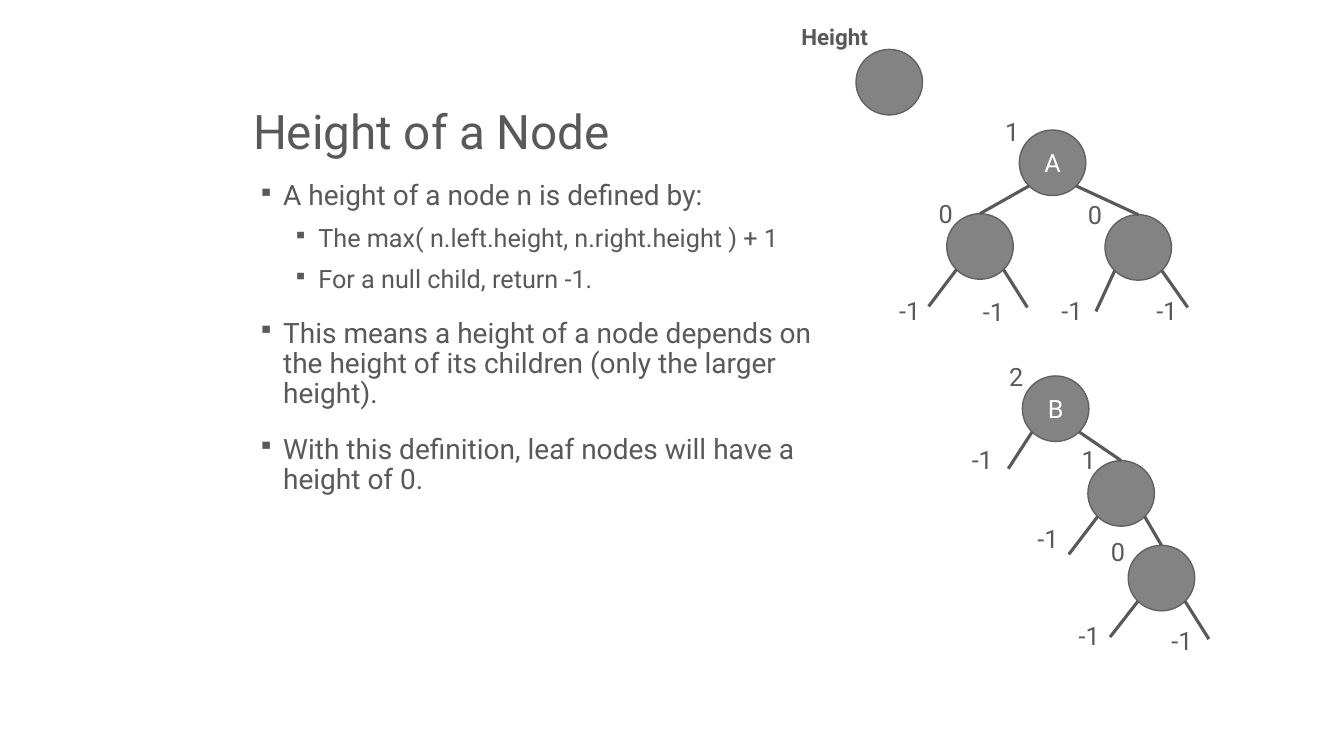
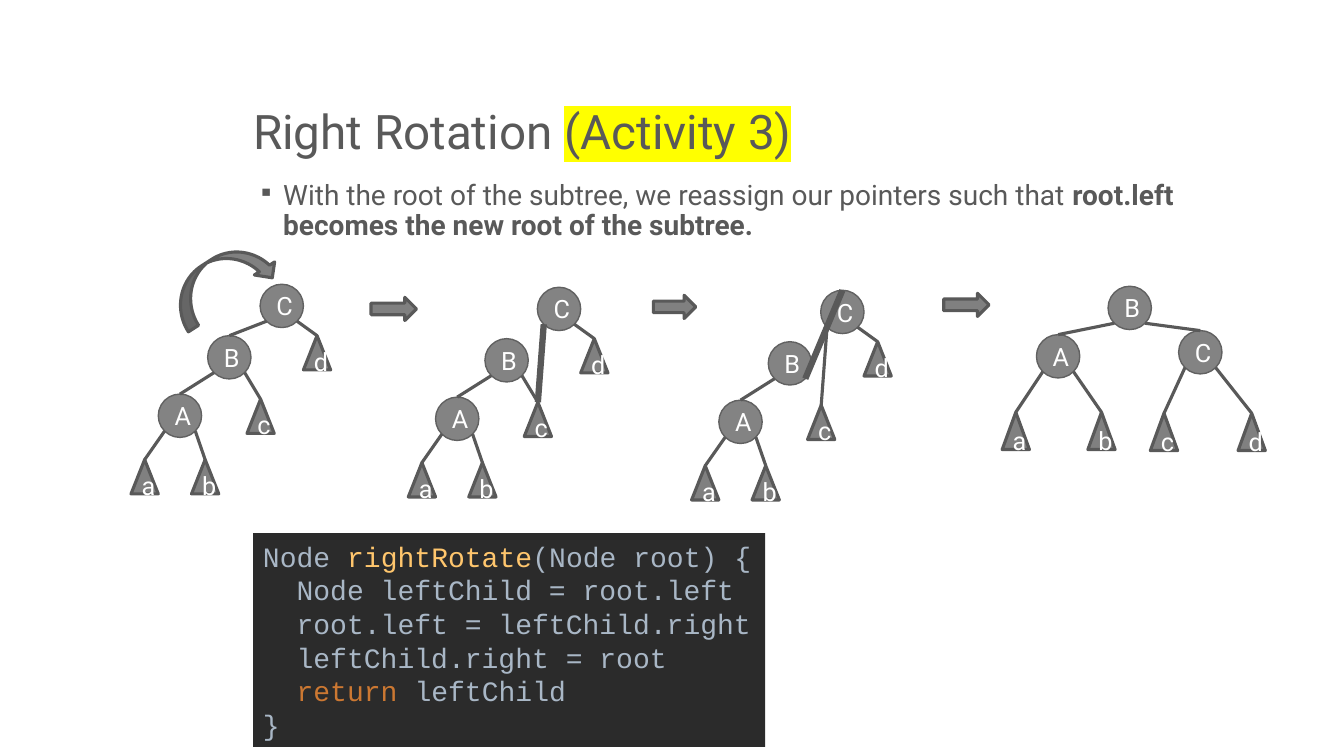
from lxml import etree
from pptx import Presentation
from pptx.dml.color import RGBColor
from pptx.enum.shapes import MSO_CONNECTOR, MSO_SHAPE as SHAPE
from pptx.enum.text import MSO_ANCHOR as ANCHOR, MSO_AUTO_SIZE as FIT, PP_ALIGN as ALIGN
from pptx.oxml.ns import qn
from pptx.util import Emu, Pt

EMU_PER_PX = 9144  # 100 px to the inch
LEFT, RIGHT = -1, 1
DIAGONAL = 0.5 ** 0.5 / 2


def px(n):
    return Emu(n * EMU_PER_PX)


def rgb(hex_code):
    return RGBColor.from_string(hex_code)


def sub(parent, tag, **attrs):
    return etree.SubElement(parent, qn(tag), attrs)


def add_run(p, text, size=18, color="595959", font="Roboto", bold=False, highlight=None):
    r = p.add_run()
    r.text = text
    r.font.size, r.font.name, r.font.bold = Pt(size), font, bold
    r.font.color.rgb = rgb(color)
    if highlight:
        mark = etree.Element(qn("a:highlight"))
        sub(mark, "a:srgbClr", val=highlight)
        r._r.get_or_add_rPr().find(qn("a:solidFill")).addnext(mark)


class Deck:
    INK, WHITE = "595959", "FFFFFF"
    NODE_FILL, NODE_LINE, BLOCK_FILL = "838383", "616161", "808080"
    MARGIN = 241

    def __init__(self):
        self.prs = Presentation()
        self.prs.slide_width, self.prs.slide_height = px(1333), px(750)

    def new_slide(self, *title_runs):
        """Start a slide; each title run is (text, format)."""
        self.s = self.prs.slides.add_slide(self.prs.slide_layouts[5])
        title = self.s.shapes.title
        title.left, title.top = px(self.MARGIN), px(33)
        title.width, title.height = px(1025), px(131)
        tf = title.text_frame
        tf.vertical_anchor, tf.auto_size = ANCHOR.BOTTOM, FIT.NONE
        p = tf.paragraphs[0]
        p.alignment, p.line_spacing = ALIGN.LEFT, 0.9
        for text, fmt in title_runs:
            add_run(p, text, size=34, **fmt)

    def text_box(self, x, y, w, h, wrap=True):
        tf = self.s.shapes.add_textbox(px(x), px(y), px(w), px(h)).text_frame
        tf.word_wrap = wrap
        tf.auto_size = FIT.NONE if wrap else FIT.SHAPE_TO_FIT_TEXT
        return tf

    def bullets(self, width, items):
        """Write the body; each item is (level, [(text, format), ...])."""
        tf = self.text_box(self.MARGIN, 175, width, 450)
        for i, (level, runs) in enumerate(items):
            p = tf.add_paragraph() if i else tf.paragraphs[0]
            pPr = p._p.get_or_add_pPr()
            pPr.set("marL", str(px(65 if level else 30)))
            pPr.set("indent", str(px(-25)))
            sub(pPr, "a:buSzPct", val="80000")
            sub(pPr, "a:buChar", char="▪")
            p.level, p.line_spacing = level, 0.9
            if i:
                p.space_before = Pt(10 if level else 18)
            for text, fmt in runs:
                add_run(p, text, size=18 if level else 20, **fmt)

    def label(self, text, x, y, w=35, h=40, **fmt):
        tf = self.text_box(x, y, w, h, wrap=False)
        add_run(tf.paragraphs[0], text, **fmt)

    def shape(self, kind, x, y, w, h, text="", fill=BLOCK_FILL, line=INK, weight=2.25):
        sp = self.s.shapes.add_shape(kind, px(x), px(y), px(w), px(h))
        sp.shadow.inherit = False
        sp.fill.solid()
        sp.fill.fore_color.rgb = rgb(fill)
        if line:
            sp.line.color.rgb = rgb(line)
            sp.line.width = Pt(weight)
        else:
            sp.line.fill.background()
        tf = sp.text_frame
        tf.vertical_anchor = ANCHOR.MIDDLE
        if text:
            p = tf.paragraphs[0]
            p.alignment = ALIGN.CENTER
            add_run(p, text, color=self.WHITE)
        return sp

    def node(self, x, y, text="", w=66, h=65):
        return self.shape(SHAPE.OVAL, x, y, w, h, text, self.NODE_FILL, self.NODE_LINE, 1)

    def edge(self, parent, side, end, weight=2.25):
        """Line from a node's lower left or right to a point or the top of a shape."""
        x = parent.left + parent.width * (0.5 + side * DIAGONAL)
        y = parent.top + parent.height * (0.5 + DIAGONAL)
        to_point = isinstance(end, tuple)
        end_x, end_y = map(px, end) if to_point else (end.left, end.top)
        c = self.s.shapes.add_connector(
            MSO_CONNECTOR.STRAIGHT, Emu(int(x)), Emu(int(y)), end_x, end_y)
        if not to_point:
            c.end_connect(end, 0)
        c.line.color.rgb = rgb(self.INK)
        c.line.width = Pt(weight)
        sub(c._element.spPr, "a:effectLst")

    def tree(self, places, edges, heavy="", dx=0, dy=0, leaf_h=34):
        """Draw capitals as nodes and small letters as subtrees.

        An edge such as "C<B" leaves C at its lower left, "C>d" at its lower right.
        """
        parts = {}
        for name, (x, y) in places.items():
            if name.isupper():
                parts[name] = self.node(x + dx, y + dy, name, 43, 43)
            else:
                parts[name] = self.shape(
                    SHAPE.ISOSCELES_TRIANGLE, x + dx, y + dy, 27, leaf_h, name)
        for edge in edges.split():
            parent, side, child = edge
            self.edge(parts[parent], LEFT if side == "<" else RIGHT, parts[child],
                      4.5 if edge == heavy else 2.25)

    def code(self, x, y, w, h, lines):
        tf = self.shape(SHAPE.RECTANGLE, x, y, w, h, fill="2B2B2B", line=None).text_frame
        tf.word_wrap, tf.auto_size = False, FIT.SHAPE_TO_FIT_TEXT
        for i, runs in enumerate(lines):
            p = tf.add_paragraph() if i else tf.paragraphs[0]
            p.alignment = ALIGN.LEFT
            for text, color in runs:
                add_run(p, text, size=20, color=color, font="Courier New")


def height_slide(deck):
    deck.new_slide(("Height of a Node", {}))
    deck.bullets(589, [(level, [(text, {})]) for level, text in [
        (0, "A height of a node n is defined by:"),
        (1, "The max( n.left.height, n.right.height ) + 1"),
        (1, "For a null child, return -1."),
        (0, "This means a height of a node depends on the height of its children "
            "(only the larger height)."),
        (0, "With this definition, leaf nodes will have a height of 0."),
    ]])

    deck.node(849, 49)
    deck.label("Height", 785, 18, 86, 37, size=16, bold=True)

    a, a_left, a_right = deck.node(1011, 129, "A"), deck.node(939, 212), deck.node(1096, 213)
    b, b_child, b_leaf = deck.node(1014, 373, "B"), deck.node(1079, 457), deck.node(1119, 541)
    for parent, left, right in [
        (a, a_left, a_right),
        (a_left, (921, 304), (1019, 305)),
        (a_right, (1087, 309), (1178, 305)),
        (b, (1000, 465), b_child),
        (b_child, (1060, 550), b_leaf),
        (b_leaf, (1101, 632), (1199, 634)),
    ]:
        deck.edge(parent, LEFT, left)
        deck.edge(parent, RIGHT, right)

    for height, x, y in [("1", 987, 111), ("0", 921, 192), ("0", 1069, 193),
                         ("2", 991, 354), ("1", 1063, 436), ("0", 1092, 527)]:
        deck.label(height, x, y)
    for x, y in [(882, 288), (965, 289), (1043, 288), (1137, 288),
                 (954, 436), (1019, 514), (1060, 610), (1152, 615)]:
        deck.label("-1", x, y, 44)


def rotation_slide(deck):
    deck.new_slide(("Right Rotation ", {}), ("(Activity 3)", {"highlight": "FFFF00"}))
    deck.bullets(1025, [(0, [
        ("With the root of the subtree, we reassign our pointers such that ", {}),
        ("root.left becomes the new root of the subtree.", {"bold": True}),
    ])])

    before = {"A": (157, 391), "B": (206, 333), "C": (258, 282), "a": (130, 456),
              "b": (190, 456), "c": (245, 396), "d": (301, 333)}
    after = {"A": (1028, 332), "B": (1099, 284), "C": (1169, 328), "a": (994, 409),
             "b": (1079, 409), "c": (1141, 410), "d": (1228, 410)}
    kept = "A<a A>b B<A C>d "
    deck.tree(before, kept + "C<B B>c")
    deck.tree(before, kept + "B>c C<c", heavy="C<c", dx=275, dy=3)
    deck.tree(before, kept + "C<c B>C", heavy="B>C", dx=556, dy=6)
    deck.tree(after, "A<a A>b B<A B>C C<c C>d", leaf_h=37)

    for x, y, w in [(368, 295, 45), (648, 293, 42), (936, 291, 45)]:
        deck.shape(SHAPE.RIGHT_ARROW, x, y, w, 23)
    deck.shape(SHAPE.CURVED_DOWN_ARROW, 165, 255, 111, 48).rotation = 327.2

    plain, name, keyword = "A9B7C6", "FFC66D", "CC7832"
    deck.code(251, 529, 508, 212, [
        [("Node ", plain), ("rightRotate", name), ("(Node root) {", plain)],
        [("  Node leftChild = root.left", plain)],
        [("  root.left = leftChild.right", plain)],
        [("  leftChild.right = root", plain)],
        [("  return ", keyword), ("leftChild", plain)],
        [("}", plain)],
    ])


def main():
    deck = Deck()
    height_slide(deck)
    rotation_slide(deck)
    deck.prs.save("out.pptx")


if __name__ == "__main__":
    main()
